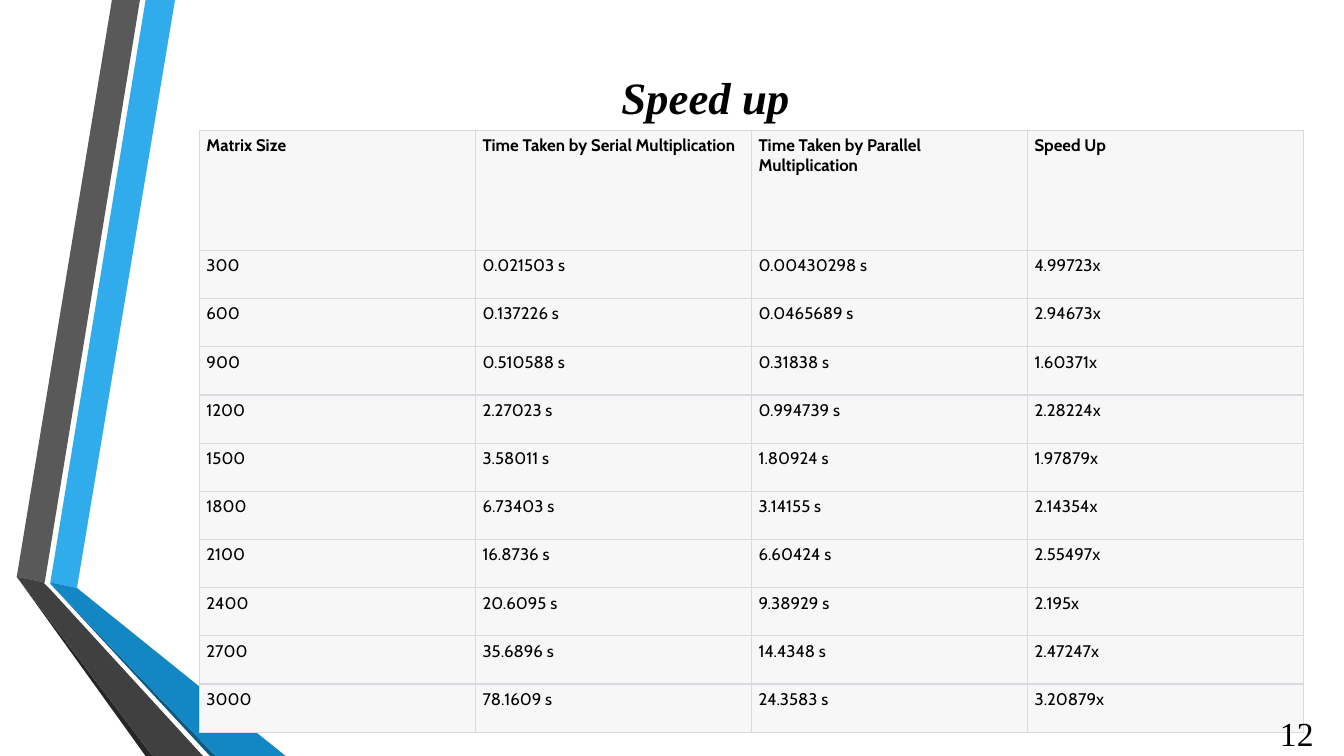
"""Build the speed-up slide: angled ribbons, a title, a timing table and a page number."""
from lxml.etree import SubElement
from pptx import Presentation
from pptx.dml.color import RGBColor as RGB
from pptx.enum.text import MSO_ANCHOR as Anchor, PP_ALIGN as Align
from pptx.oxml.ns import qn
from pptx.util import Pt

BLACK = RGB(0x00, 0x00, 0x00)
PALE = RGB(0xF7, 0xF7, 0xF8)
RULE = RGB(0xD9, 0xD9, 0xE3)
SKY = RGB(0x30, 0xAC, 0xEC)
GRAY = RGB(0x59, 0x59, 0x59)
COAL = RGB(0x26, 0x26, 0x26)
NAVY = RGB(0x0C, 0x5A, 0x82)
BLUE = RGB(0x12, 0x87, 0xC3)
SLATE = RGB(0x40, 0x40, 0x40)
SERIF, SANS = "Times New Roman", "Cabin"

TITLE = "Speed up"
PAGE = "12"
HEAD = ("Matrix Size", "Time Taken by Serial Multiplication",
        "Time Taken by Parallel Multiplication", "Speed Up")
TIMES = [
    ("300", "0.021503 s", "0.00430298 s", "4.99723x"),
    ("600", "0.137226 s", "0.0465689 s", "2.94673x"),
    ("900", "0.510588 s", "0.31838 s", "1.60371x"),
    ("1200", "2.27023 s", "0.994739 s", "2.28224x"),
    ("1500", "3.58011 s", "1.80924 s", "1.97879x"),
    ("1800", "6.73403 s", "3.14155 s", "2.14354x"),
    ("2100", "16.8736 s", "6.60424 s", "2.55497x"),
    ("2400", "20.6095 s", "9.38929 s", "2.195x"),
    ("2700", "35.6896 s", "14.4348 s", "2.47247x"),
    ("3000", "78.1609 s", "24.3583 s", "3.20879x"),
]
RIBBONS = [
    (SKY, [(36, 416.2), (55.4, 419.8), (124.6, 0), (104.4, 0)]),
    (GRAY, [(100, 0), (80, 0), (11.5, 412.5), (31.7, 415.5)]),
    (COAL, [(11.5, 412.5), (104.4, 540), (108.7, 540)]),
    (NAVY, [(36, 417), (149.8, 540), (154, 540)]),
    (BLUE, [(36, 417), (154, 540), (203.8, 540), (55.4, 419.8), (36, 416.2)]),
    (SLATE, [(145.4, 540), (34.6, 419.8), (31, 416), (31.7, 415.5),
             (11.5, 412.5), (108.7, 540)]),
]
LEFT, TOP, WIDE = 142.5, 92.9, 197.2
HEAD_H, ROW_H = 86, 34.42


def write(frame, text, font=SANS, size=12, bold=False, italic=False, align=Align.LEFT):
    para = frame.paragraphs[0]
    para.alignment = align
    run = para.add_run()
    run.text = text
    face = run.font
    face.name, face.size, face.bold, face.italic = font, Pt(size), bold, italic
    face.color.rgb = BLACK


def label(slide, box, text, anchor=Anchor.TOP, **style):
    frame = slide.shapes.add_textbox(*map(Pt, box)).text_frame
    frame.word_wrap = True
    frame.vertical_anchor = anchor
    write(frame, text, **style)


def ribbon(slide, color, points):
    form = slide.shapes.build_freeform(*points[0], scale=Pt(1))
    form.add_line_segments(points[1:], close=True)
    shape = form.convert_to_shape()
    shape.shadow.inherit = False
    shape.fill.solid()
    shape.fill.fore_color.rgb = color
    shape.line.fill.background()


def border(cell, sides):
    props = cell._tc.get_or_add_tcPr()
    for side, width in sides.items():
        line = SubElement(props, qn("a:ln" + side), w=str(Pt(width)))
        fill = SubElement(line, qn("a:solidFill"))
        SubElement(fill, qn("a:srgbClr"), val=str(RULE))


def grid(slide, rows):
    cols, last = len(rows[0]), len(rows) - 1
    high = HEAD_H + ROW_H * last
    table = slide.shapes.add_table(len(rows), cols, Pt(LEFT), Pt(TOP),
                                   Pt(WIDE * cols), Pt(high)).table
    table.first_row = table.horz_banding = False
    for col in table.columns:
        col.width = Pt(WIDE)
    for r, row in enumerate(rows):
        table.rows[r].height = Pt(ROW_H if r else HEAD_H)
        for c, text in enumerate(row):
            cell = table.cell(r, c)
            cell.margin_left = cell.margin_right = Pt(5)
            cell.margin_top = cell.margin_bottom = Pt(3.6)
            border(cell, {"L": 0.75, "R": 0.75, "T": 0.96 if r else 0.75,
                          "B": 0.96 if r < last else 0.75})
            cell.fill.solid()
            cell.fill.fore_color.rgb = PALE
            write(cell.text_frame, text, bold=r == 0)


def main():
    deck = Presentation()
    deck.slide_width, deck.slide_height = Pt(960), Pt(540)
    slide = deck.slides.add_slide(deck.slide_layouts[6])
    for color, points in RIBBONS:
        ribbon(slide, color, points)
    label(slide, (109.4, 0, 789, 138.2), TITLE, anchor=Anchor.MIDDLE, font=SERIF,
          size=32, bold=True, italic=True, align=Align.CENTER)
    grid(slide, [HEAD, *TIMES])
    label(slide, (907.2, 506, 52.8, 34), PAGE, font=SERIF, size=24)
    deck.save("out.pptx")


if __name__ == "__main__":
    main()
